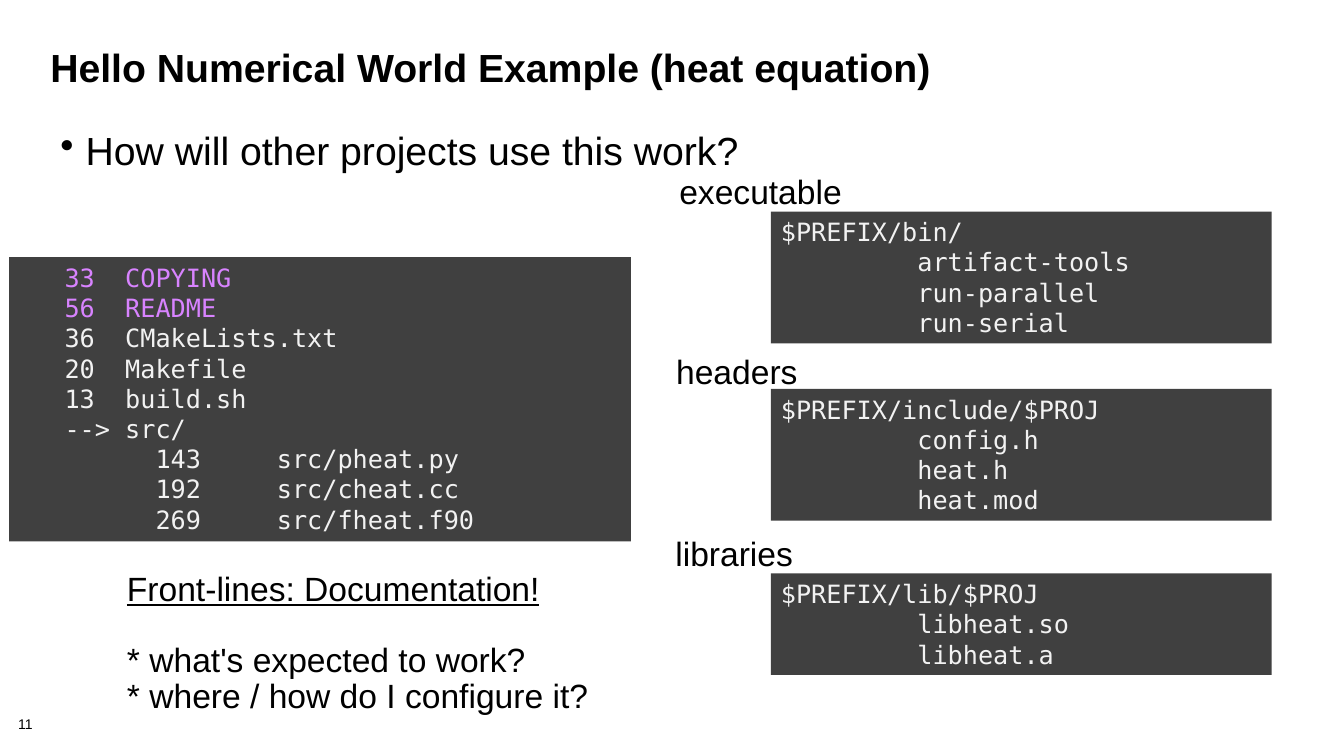
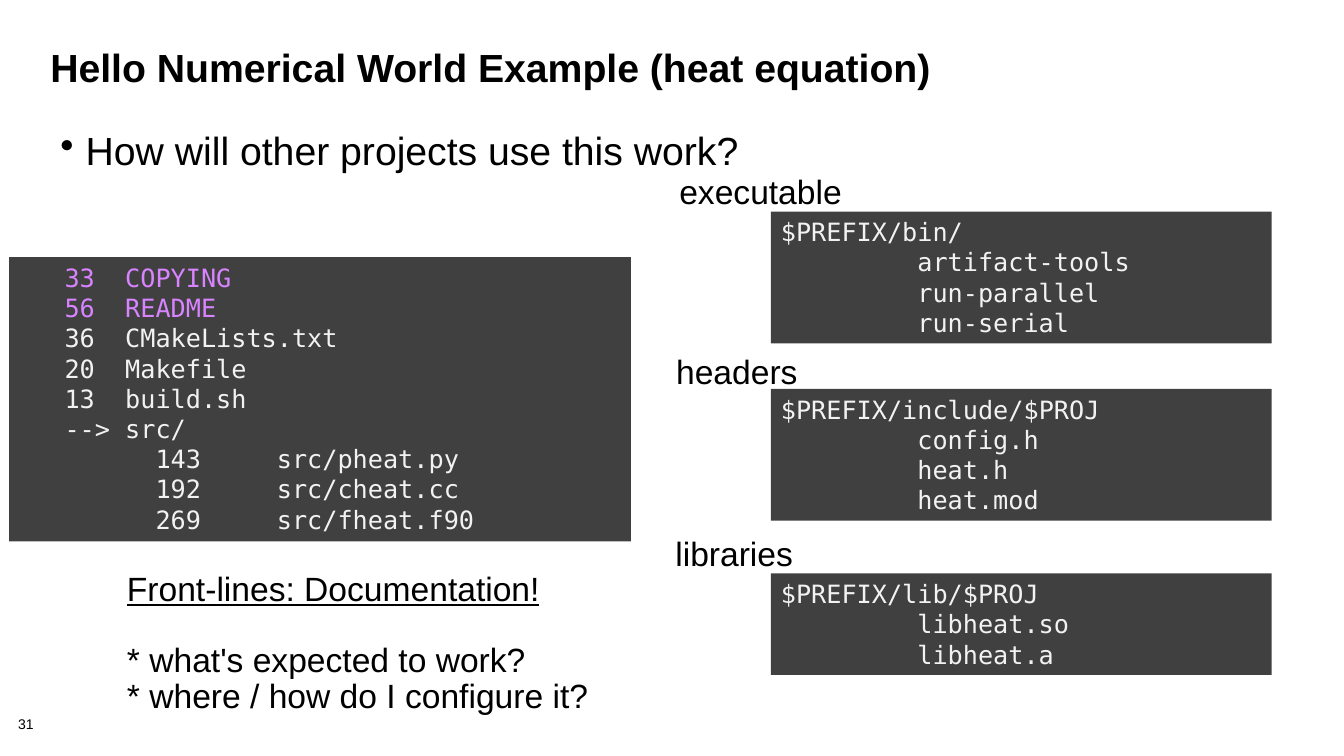
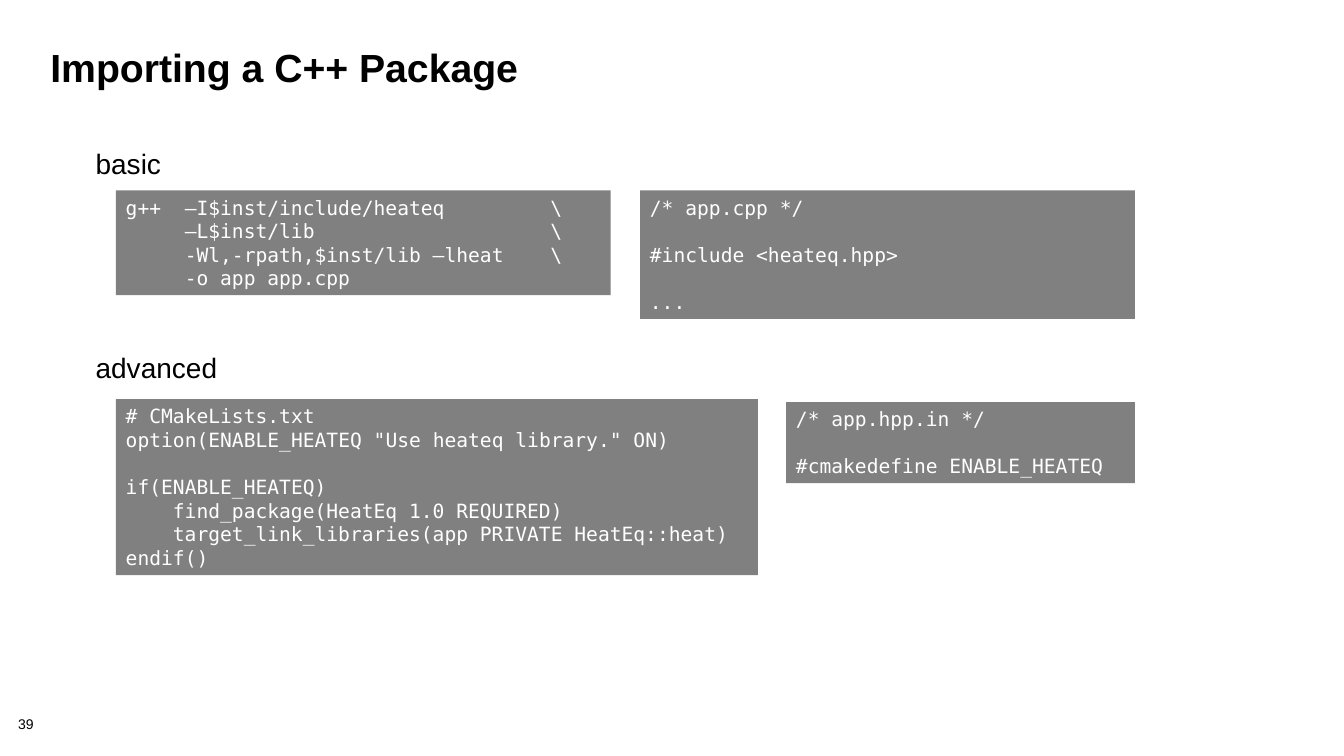
import pptx
import pptx.util
import pptx.dml.color
import pptx.enum.shapes
import pptx.enum.text
import pptx.oxml.ns
import lxml.etree

Cm, Pt = pptx.util.Cm, pptx.util.Pt
HUES = {"ink": "000000", "dark": "404040", "grey": "808080",
        "pale": "F2F2F2", "white": "FFFFFF", "violet": "D883FF"}
SANS, MONO = "Arial", "DejaVu Sans Mono"
LEAD, PITCH = 1.21, 0.602


def row(text, *cols, gap=0, hue=None):
    return text, cols, gap, hue


HEAT = "Hello Numerical World Example (heat equation)"
ASK = "How will other projects use this work?"
TREE = [row("\t33\tCOPYING", 3, 7, hue="violet"),
        row("\t56\tREADME", 3, 7, hue="violet"),
        row("\t36\tCMakeLists.txt", 3, 7),
        row("\t20\tMakefile", 3, 7),
        row("\t13\tbuild.sh", 3, 7),
        row("\t-->\tsrc/", 3, 7),
        row("\t143\tsrc/pheat.py", 9, 17),
        row("\t192\tsrc/cheat.cc", 9, 17),
        row("\t269\tsrc/fheat.f90", 9, 17)]
PARTS = [
    ("executable", (15.9, 4.29, 6.73, 1.42), 5.33, "$PREFIX/bin/",
     ["artifact-tools", "run-parallel", "run-serial"]),
    ("headers", (15.82, 8.84, 8.76, 1.7), 9.8, "$PREFIX/include/$PROJ",
     ["config.h", "heat.h", "heat.mod"]),
    ("libraries", (15.8, 13.41, 7.26, 1.7), 14.45, "$PREFIX/lib/$PROJ",
     ["libheat.so", "libheat.a"])]
DOCS = ["Front-lines: Documentation!", "* what's expected to work?",
        "* where / how do I configure it?"]
STEPS = [("basic", 3.68), ("advanced", 8.84)]
CODE = [
    (2.92, 4.8, 12.47, [
        row("g++\t–I$inst/include/heateq\t\\", 5, 36),
        row("\t–L$inst/lib\t\\", 5, 36),
        row("\t-Wl,-rpath,$inst/lib –lheat\t\\", 5, 36),
        row("\t-o app app.cpp", 5)]),
    (16.13, 4.8, 12.47, [
        row("/* app.cpp */"),
        row("#include <heateq.hpp>", gap=1),
        row("...", gap=1)]),
    (2.92, 10.06, 16.18, [
        row("# CMakeLists.txt"),
        row('option(ENABLE_HEATEQ "Use heateq library." ON)'),
        row("if(ENABLE_HEATEQ)", gap=1),
        row("\tfind_package(HeatEq 1.0 REQUIRED)", 4),
        row("\ttarget_link_libraries(app PRIVATE HeatEq::heat)", 4),
        row("endif()")]),
    (19.81, 10.13, 8.79, [
        row("/* app.hpp.in */"),
        row("#cmakedefine ENABLE_HEATEQ", gap=1)])]


def node(par, tag, **attrs):
    return lxml.etree.SubElement(par, pptx.oxml.ns.qn("a:" + tag), attrs)


def style(para, size, hue="ink", face=SANS, bold=False, line=False):
    font = para.font
    font.name, font.size, font.bold, font.underline = face, Pt(size), bold, line
    font.color.rgb = pptx.dml.color.RGBColor.from_string(HUES[hue])


def write(slide, at, lines, size, lead=0.9, above=0, pads=(0.25, 0.13),
          bold=False):
    frame = slide.shapes.add_textbox(*map(Cm, at)).text_frame
    frame.word_wrap = True
    frame.margin_left = frame.margin_right = Cm(pads[0])
    frame.margin_top = frame.margin_bottom = Cm(pads[1])
    for num, text in enumerate(lines):
        para = frame.add_paragraph() if num else frame.paragraphs[0]
        para.text, para.line_spacing = text, lead
        para.space_before = Pt(above)
        style(para, size, bold=bold)
    return frame


def indent(para, left, first=0):
    props = para._p.get_or_add_pPr()
    props.set("marL", str(Cm(left)))
    props.set("indent", str(Cm(first)))
    return props


def block(slide, left, top, width, rows, size, fill, hue):
    count = sum(1 + gap for _, _, gap, _ in rows)
    high = Pt(count * size * LEAD) + Cm(0.25)
    box = slide.shapes.add_shape(pptx.enum.shapes.MSO_SHAPE.RECTANGLE,
                                 Cm(left), Cm(top), Cm(width), high)
    box.shadow.inherit = False
    box.fill.solid()
    box.fill.fore_color.rgb = pptx.dml.color.RGBColor.from_string(HUES[fill])
    box.line.fill.background()
    frame = box.text_frame
    frame.word_wrap = True
    frame.vertical_anchor = pptx.enum.text.MSO_ANCHOR.TOP
    frame.auto_size = pptx.enum.text.MSO_AUTO_SIZE.SHAPE_TO_FIT_TEXT
    for num, (text, cols, gap, tint) in enumerate(rows):
        para = frame.add_paragraph() if num else frame.paragraphs[0]
        para.text = text
        para.alignment = pptx.enum.text.PP_ALIGN.LEFT
        para.space_before = Pt(gap * size * LEAD)
        if cols:
            tabs = node(para._p.get_or_add_pPr(), "tabLst")
            for col in cols:
                node(tabs, "tab", pos=str(Pt(col * size * PITCH)), algn="l")
        style(para, size, tint or hue, MONO)


def page(title, num):
    slide = deck.slides.add_slide(deck.slide_layouts[6])
    write(slide, (0.46, 18.08, 1.42, 0.41), [str(num)], 10, pads=(0, 0))
    write(slide, (1.02, 1.14, 31.6, 2.54), [title], 28, 0.85, bold=True)
    return slide


def heat(num):
    slide = page(HEAT, num)
    block(slide, 0.23, 6.48, 15.67, TREE, 18, "dark", "pale")
    body = write(slide, (1.27, 3.18, 31.57, 4.47), [ASK], 28, above=8)
    props = indent(body.paragraphs[0], 0.64, -0.64)
    mark = node(props, "buChar", char="•")
    props.find(pptx.oxml.ns.qn("a:defRPr")).addprevious(mark)
    for name, at, top, root, files in PARTS:
        label = write(slide, at, [name], 24, above=8)
        indent(label.paragraphs[0], 0.97)
        rows = [row(root)] + [row("\t" + file, 9) for file in files]
        block(slide, 19.43, top, 12.62, rows, 18, "dark", "pale")
    docs = write(slide, (2.87, 14.12, 14.05, 4.22), DOCS, 24,
                 pads=(0.33, 0.25))
    docs.vertical_anchor = pptx.enum.text.MSO_ANCHOR.MIDDLE
    docs.paragraphs[0].font.underline = True
    docs.paragraphs[1].space_before = Pt(24.84)


deck = pptx.Presentation()
deck.slide_width, deck.slide_height = Cm(33.87), Cm(19.05)
for num in (11, 31):
    heat(num)
last = page("Importing a C++ Package", 39)
for left, top, width, rows in CODE:
    block(last, left, top, width, rows, 14, "grey", "white")
for name, top in STEPS:
    write(last, (2.16, top, 4.37, 1.45), [name], 20, 0.85)
deck.save("out.pptx")
